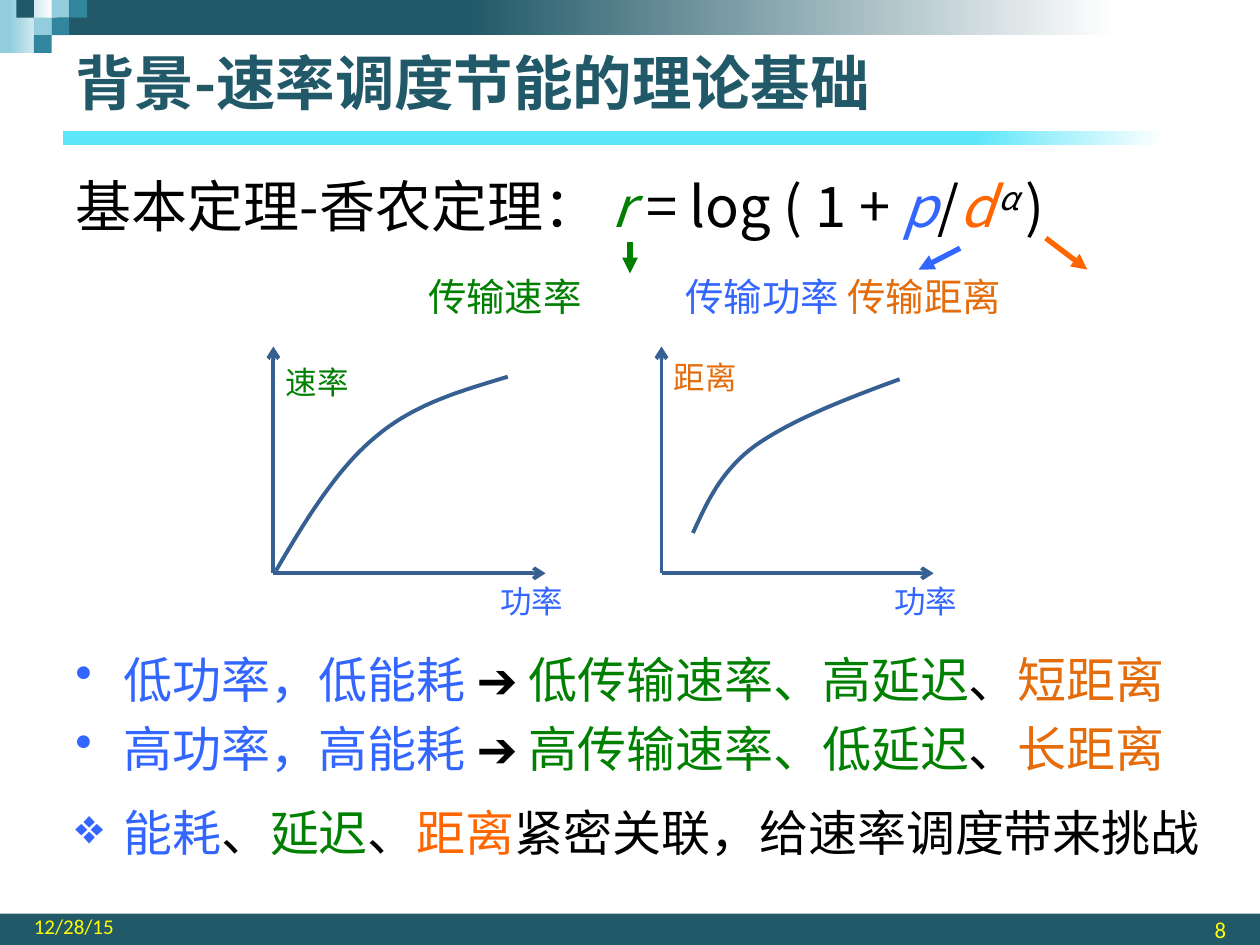
from lxml import etree
from pptx import Presentation
from pptx.dml.color import RGBColor
from pptx.enum import shapes, text
from pptx.oxml.ns import qn
from pptx.util import Inches, Pt

NAVY = RGBColor(0x21, 0x59, 0x68)
TEAL = RGBColor(0x31, 0x85, 0x9C)
SKY = RGBColor(0x93, 0xCD, 0xDD)
CYAN = RGBColor(0x5D, 0xE6, 0xF9)
WHITE = RGBColor(0xFF, 0xFF, 0xFF)
BLACK = RGBColor(0, 0, 0)
GREEN = RGBColor(0, 0x80, 0)
BLUE = RGBColor(0x33, 0x66, 0xFF)
ORANGE = RGBColor(0xFF, 0x66, 0)
RUST = RGBColor(0xE4, 0x6C, 0x0A)
STEEL = RGBColor(0x37, 0x60, 0x92)
YELLOW = RGBColor(0xFF, 0xFF, 0)
HAN = "Noto Sans CJK SC"


def node(parent, tag, **attrs):
    """Append an XML element with the given attributes."""
    item = etree.SubElement(parent, qn(tag))
    for key, value in attrs.items():
        item.set(key, str(value))
    return item


def write(para, words, size=28, color=BLACK, font=HAN, bold=False, italic=False, lift=0):
    """Add one formatted run to a paragraph."""
    run = para.add_run()
    run.text = words
    run.font.size, run.font.name = Pt(size), font
    run.font.bold, run.font.italic = bold, italic
    run.font.color.rgb = color
    props = run.font._element
    node(props, "a:ea", typeface=font)
    if lift:
        props.set("baseline", str(lift * 1000))


def frame(slide, box, anchor=text.MSO_ANCHOR.TOP, wrap=True):
    """Add an empty text box and return its text frame."""
    body = slide.shapes.add_textbox(*map(Inches, box)).text_frame
    body.word_wrap, body.vertical_anchor = wrap, anchor
    return body


def label(slide, box, words, anchor=text.MSO_ANCHOR.TOP, align=None, wrap=True, **style):
    """Place a single line of text."""
    para = frame(slide, box, anchor, wrap).paragraphs[0]
    para.alignment = align
    write(para, words, **style)


def block(slide, box, color, stops=None):
    """Place a borderless rectangle, plain or fading to white."""
    shape = slide.shapes.add_shape(shapes.MSO_SHAPE.RECTANGLE, *map(Inches, box))
    shape.shadow.inherit = False
    shape.line.fill.background()
    if stops:
        shape.fill.gradient()
        shape.fill.gradient_angle = 0
        for stop, place, tint in zip(shape.fill.gradient_stops, stops, (color, WHITE)):
            stop.position, stop.color.rgb = place, tint
    else:
        shape.fill.solid()
        shape.fill.fore_color.rgb = color


def arrow(slide, start, end, color, width=3, head="triangle"):
    """Draw a straight line with an arrowhead at its end."""
    line = slide.shapes.add_connector(
        shapes.MSO_CONNECTOR.STRAIGHT, *map(Inches, (*start, *end)))
    line.line.color.rgb, line.line.width = color, Pt(width)
    node(line.line._get_or_add_ln(), "a:tailEnd", type=head)
    node(line._element.spPr, "a:effectLst")


def curve(slide, points):
    """Draw joined cubic curves through a list of anchors and handles."""
    path = []
    for i in range(0, len(points) - 1, 3):
        for step in range(21):
            t = step / 20
            mix = ((1 - t) ** 3, 3 * t * (1 - t) ** 2, 3 * t * t * (1 - t), t ** 3)
            path.append(tuple(Inches(sum(m * p[k] for m, p in zip(mix, points[i:i + 4])))
                              for k in (0, 1)))
    pen = slide.shapes.build_freeform(*path[0])
    pen.add_line_segments(path[1:], close=False)
    shape = pen.convert_to_shape()
    shape.shadow.inherit = False
    shape.fill.background()
    shape.line.color.rgb, shape.line.width = STEEL, Pt(2.25)


def graph(slide, box, name, tint, points, rise, shift):
    """Draw a pair of axes with their names and a curve."""
    left, top, width, height = box
    base = top + height
    for end in ((left + width, base), (left, top)):
        arrow(slide, (left, base), end, STEEL, 2.25, "arrow")
    label(slide, (left + shift, base + 0.02, 0.75, 0.4), "功率",
          wrap=False, size=18, color=BLUE)
    label(slide, (left, top + rise, 0.83, 0.4), name, wrap=False, size=18, color=tint)
    curve(slide, points)


def banner(slide, box):
    """Draw the top band with its mosaic corner."""
    left, top, width, height = box
    cell = 0.14
    block(slide, (left, top, 3 * cell, 3 * cell), SKY, (0.18, 1))
    block(slide, (left + 0.45, top, width - 0.45, height), NAVY, (0.34, 0.88))
    for col, row, color in ((3, 0, SKY), (4, 0, TEAL), (2, 1, SKY),
                            (1, 0, NAVY), (3, 1, TEAL), (2, 2, TEAL)):
        block(slide, (left + col * cell - 0.01, top + row * cell, cell, cell), color)


def footer(slide, box):
    """Draw the bottom band with date and page number."""
    left, top, width, height = box
    block(slide, box, NAVY)
    label(slide, (left + 0.17, top, 2.33, height), "12/28/15", text.MSO_ANCHOR.BOTTOM,
          size=12, color=YELLOW, font="Calibri")
    label(slide, (left + width - 2.5, top, 2.33, height), "8", text.MSO_ANCHOR.MIDDLE,
          text.PP_ALIGN.RIGHT, size=13, color=YELLOW, font="Calibri")


def bullet(para, mark, color):
    """Give a paragraph a hanging coloured bullet."""
    props = para._p.get_or_add_pPr()
    props.set("marL", str(Inches(0.38)))
    props.set("indent", str(-Inches(0.38)))
    node(node(props, "a:buClr"), "a:srgbClr", val=color)
    node(props, "a:buChar", char=mark)


def theorem(para):
    """Write the formula line."""
    for words, style in (("基本定理-香农定理： ", {}),
                         ("r ", dict(color=GREEN, italic=True)),
                         ("= log ( 1 + ", {}),
                         ("p", dict(color=BLUE, italic=True)),
                         ("/", {}),
                         ("d", dict(color=ORANGE, italic=True)),
                         (" ", dict(size=16, lift=30)),
                         ("α ", dict(italic=True, lift=30)),
                         (")", {})):
        write(para, words, **{"size": 32, **style})


def terms(para):
    """Write the names of the formula's variables at tab stops."""
    para.space_before = Pt(19.5)
    tabs = node(para._p.get_or_add_pPr(), "a:tabLst")
    for stop in (2.8, 4.84):
        node(tabs, "a:tab", pos=Inches(stop), algn="l")
    for words, color in (("\t传输速率\t", GREEN), ("传输功率 ", BLUE), ("传输距离", RUST)):
        write(para, words, size=22, color=color)


def body(slide, box):
    """Write the theorem, its terms and the conclusions."""
    area = frame(slide, box)
    theorem(area.paragraphs[0])
    terms(area.add_paragraph())
    points = [("•", gap, ((f"{a}功率，{a}能耗 ", BLUE), ("➔ ", BLACK),
                          (f"{a}传输速率、{b}延迟", GREEN), ("、", BLACK), (f"{c}距离", RUST)))
              for a, b, c, gap in (("低", "高", "短", 189), ("高", "低", "长", 6))]
    points.append(("❖", 14, (("能耗", BLUE), ("、", BLACK), ("延迟", GREEN), ("、", BLACK),
                             ("距离", ORANGE), ("紧密关联，给速率调度带来挑战", BLACK))))
    for mark, gap, runs in points:
        para = area.add_paragraph()
        para.space_before = Pt(gap)
        bullet(para, mark, BLUE)
        for words, color in runs:
            write(para, words, color=color)


def main():
    """Build the slide and save it."""
    deck = Presentation()
    deck.slide_width, deck.slide_height = Inches(10), Inches(7.5)
    slide = deck.slides.add_slide(deck.slide_layouts[6])
    footer(slide, (0, 7.25, 10, 0.25))
    block(slide, (0.5, 1.04, 9.5, 0.11), CYAN, (0.76, 0.92))
    banner(slide, (0, 0, 10, 0.28))
    body(slide, (0.5, 1.31, 9.17, 5.86))
    label(slide, (0.5, 0.31, 8.71, 0.68), "背景-速率调度节能的理论基础",
          text.MSO_ANCHOR.MIDDLE, size=34, color=NAVY, bold=True)
    arrow(slide, (5, 1.92), (5, 2.17), GREEN)
    arrow(slide, (8.3, 1.89), (8.63, 2.14), ORANGE)
    arrow(slide, (7.62, 1.97), (7.29, 2.14), BLUE)
    graph(slide, (2.17, 2.75, 2.16, 1.8), "速率", GREEN,
          [(4.03, 2.99), (3.67, 3.1), (3.3, 3.2), (2.99, 3.46),
           (2.68, 3.71), (2.43, 4.12), (2.19, 4.53)], 0.08, 1.7)
    graph(slide, (5.25, 2.75, 2.16, 1.8), "距离", RUST,
          [(5.5, 4.23), (5.61, 3.99), (5.72, 3.74), (5.99, 3.54),
           (6.27, 3.34), (6.7, 3.17), (7.14, 3.01)], 0.04, 1.75)
    deck.save("out.pptx")


if __name__ == "__main__":
    main()
